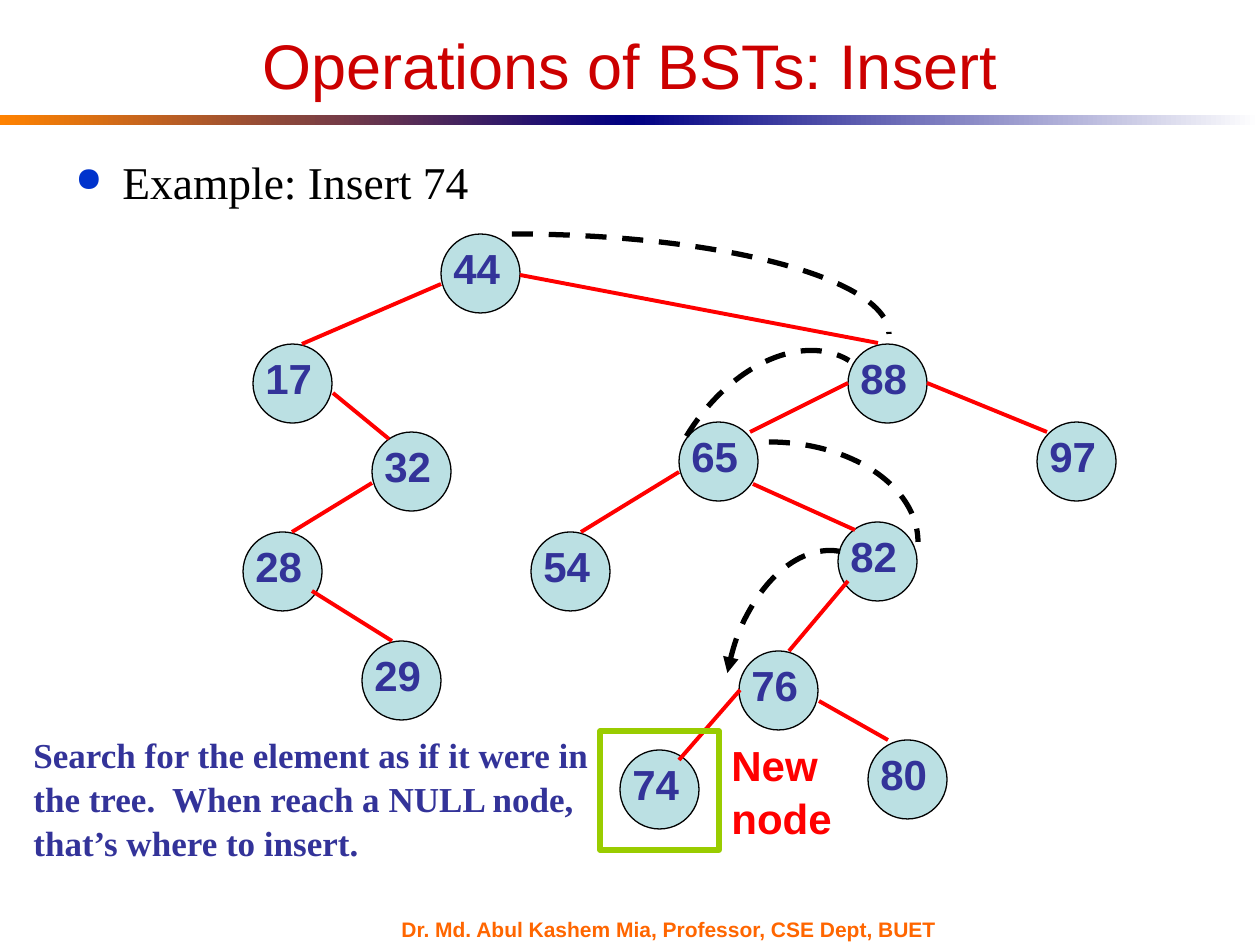
"""Build a slide showing how 74 is inserted into a binary search tree."""
from lxml.etree import SubElement
from pptx import Presentation
from pptx.dml.color import RGBColor
from pptx.enum.dml import MSO_LINE
from pptx.enum.shapes import MSO_CONNECTOR, MSO_SHAPE
from pptx.enum.text import MSO_ANCHOR, MSO_AUTO_SIZE, PP_ALIGN
from pptx.oxml.ns import qn
from pptx.util import Emu, Pt

BLACK = RGBColor(0x00, 0x00, 0x00)
WHITE = RGBColor(0xFF, 0xFF, 0xFF)
RED = RGBColor(0xFF, 0x00, 0x00)
TITLE_RED = RGBColor(0xCC, 0x00, 0x00)
ORANGE = RGBColor(0xFF, 0x82, 0x00)
FOOTER_ORANGE = RGBColor(0xFF, 0x66, 0x00)
NAVY = RGBColor(0x00, 0x00, 0x82)
INDIGO = RGBColor(0x33, 0x33, 0x99)
PALE_TEAL = RGBColor(0xBB, 0xE0, 0xE3)
GREEN = RGBColor(0x99, 0xCC, 0x00)

PX = 914400 / 126
NODE = 79


def px(*lengths):
    return [Emu(round(length * PX)) for length in lengths]


def add_text(box, text, size, color, font="Arial", bold=True):
    label = slide.shapes.add_textbox(*px(*box))
    label.text_frame.word_wrap = True
    paragraph = label.text_frame.paragraphs[0]
    paragraph.text = text
    paragraph.line_spacing = 1.05
    paragraph.font.name = font
    paragraph.font.size = Pt(size)
    paragraph.font.bold = bold
    paragraph.font.color.rgb = color
    return label.text_frame


prs = Presentation()
prs.slide_width, prs.slide_height = px(1260, 945)
slide = prs.slides.add_slide(prs.slide_layouts[5])

for left, start, end in [(0, ORANGE, NAVY), (630, NAVY, WHITE)]:
    band = slide.shapes.add_shape(MSO_SHAPE.RECTANGLE, *px(left, 115, 630, 10))
    band.shadow.inherit = False
    band.line.fill.background()
    band.fill.gradient()
    band.fill.gradient_angle = 0
    for stop, color in zip(band.fill.gradient_stops, (start, end)):
        stop.color.rgb = color

title = slide.shapes.title
title.left, title.top, title.width, title.height = px(63, 32, 1134, 64)
title.text_frame.auto_size = MSO_AUTO_SIZE.NONE
title.text_frame.vertical_anchor = MSO_ANCHOR.MIDDLE
heading = title.text_frame.paragraphs[0]
heading.text = "Operations of BSTs: Insert"
heading.alignment = PP_ALIGN.CENTER
heading.font.name = "Arial"
heading.font.size = Pt(36)
heading.font.color.rgb = TITLE_RED

example = add_text((63, 145, 1134, 598), "Example: Insert 74", 26, BLACK, "Times New Roman", False)
bullet = example.paragraphs[0]._p.get_or_add_pPr()
indent = px(47)[0]
bullet.set("marL", str(indent))
bullet.set("indent", str(-indent))
bullet_color = SubElement(bullet, qn("a:buClr"))
SubElement(bullet_color, qn("a:srgbClr")).set("val", "0033CC")
SubElement(bullet, qn("a:buSzPct")).set("val", "75000")
SubElement(bullet, qn("a:buChar")).set("char", "●")
bullet.append(bullet.find(qn("a:defRPr")))

nodes = {
    44: (441, 234), 17: (253, 344), 88: (848, 344), 32: (372, 432),
    65: (679, 422), 97: (1037, 422), 28: (243, 532), 54: (531, 532),
    82: (838, 522), 29: (362, 641), 76: (739, 651), 80: (868, 740),
    74: (620, 750),
}
for key, (left, top) in nodes.items():
    circle = slide.shapes.add_shape(MSO_SHAPE.OVAL, *px(left, top, NODE, NODE))
    circle.shadow.inherit = False
    circle.fill.solid()
    circle.fill.fore_color.rgb = PALE_TEAL
    circle.line.color.rgb = BLACK
    circle.line.width = Pt(0.75)
    add_text((left, top, NODE, 63), str(key), 24, INDIGO)

edges = [
    (878, 343, 520, 275), (441, 284, 302, 344), (753, 484, 855, 530),
    (1047, 432, 927, 383), (333, 393, 389, 439), (848, 383, 750, 432),
    (372, 483, 292, 532), (312, 591, 392, 641), (819, 701, 888, 740),
    (679, 472, 581, 532), (848, 581, 789, 651), (740, 690, 679, 760),
]
for ends in edges:
    edge = slide.shapes.add_connector(MSO_CONNECTOR.STRAIGHT, *px(*ends))
    edge.line.color.rgb = RED
    edge.line.width = Pt(2.25)
    SubElement(edge._element.spPr, qn("a:effectLst"))

search_steps = [
    (512, 334, 377, 100, 0), (769, 542, 149, 100, 0),
    (772, 488, 149, 100, 301.2), (815, 689, 140, 89, 280.4),
]
for center_x, center_y, radius_x, radius_y, angle in search_steps:
    step = slide.shapes.add_shape(
        MSO_SHAPE.ARC,
        *px(center_x - radius_x, center_y - radius_y, 2 * radius_x, 2 * radius_y))
    step.rotation = angle
    step.shadow.inherit = False
    step.fill.background()
    step.line.color.rgb = BLACK
    step.line.width = Pt(3)
    step.line.dash_style = MSO_LINE.DASH
SubElement(step.line._get_or_add_ln(), qn("a:headEnd")).set("type", "triangle")

new_node_frame = slide.shapes.add_shape(MSO_SHAPE.RECTANGLE, *px(600, 731, 119, 119))
new_node_frame.shadow.inherit = False
new_node_frame.fill.background()
new_node_frame.line.color.rgb = GREEN
new_node_frame.line.width = Pt(3)

add_text((719, 731, 159, 113), "New node", 24, RED)
add_text(
    (21, 725, 588, 139),
    "Search for the element as if it were in the tree.  When reach a NULL node, "
    "that’s where to insert.",
    20, INDIGO, "Times New Roman")
footer = add_text(
    (389, 917, 588, 23), "Dr. Md. Abul Kashem Mia, Professor, CSE Dept, BUET",
    12, FOOTER_ORANGE)
footer.vertical_anchor = MSO_ANCHOR.MIDDLE

prs.save("out.pptx")
